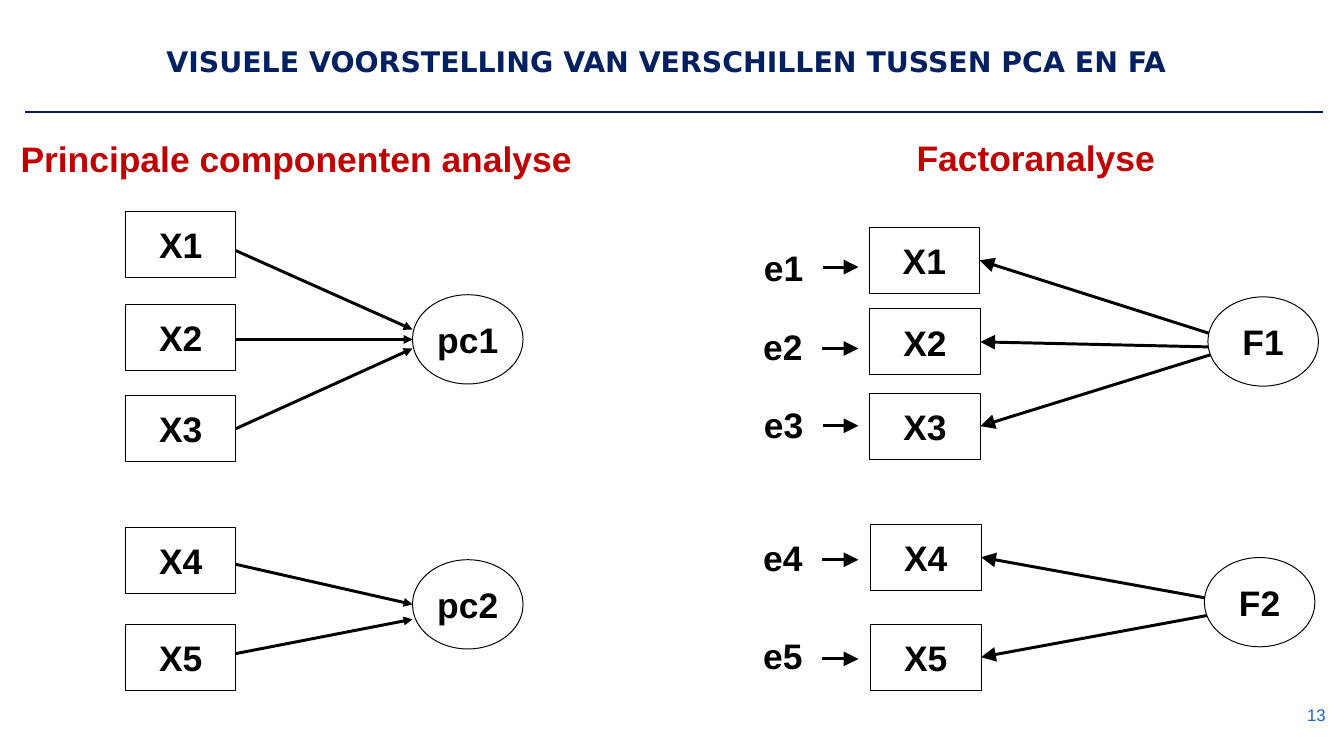
from dataclasses import dataclass
from lxml.etree import SubElement
from pptx import Presentation
from pptx.dml.color import RGBColor
from pptx.enum.shapes import MSO_CONNECTOR as Connector, MSO_SHAPE as Shape
from pptx.enum.text import MSO_ANCHOR as Anchor, PP_ALIGN as Align
from pptx.oxml.ns import qn
from pptx.util import Pt


@dataclass(frozen=True)
class Theme:
    navy: str = "002060"
    red: str = "C00000"
    blue: str = "1E64C8"
    black: str = "000000"
    white: str = "FFFFFF"
    body_font: str = "Arial"
    title_font: str = "DejaVu Sans"
    body_size: float = 36
    number_size: float = 17.1
    outline: float = 1
    rule: float = 2.5
    arrow: float = 3


THEME = Theme()
SLIDE_SIZE = (1365.12, 768.24)
TITLE = "visuele voorstelling van verschillen tussen pca en fa"
TITLE_AREA = (162, 10.1, 1177.2, 74.9)
TITLE_RULE = ((25.9, 113.8), (1344.2, 113.8))
PAGE_NUMBER = "13"
NUMBER_AREA = (1280.9, 705.6, 72.7, 41)
HEADINGS = [
    ("Principale componenten analyse", 0, 127.4),
    ("Factoranalyse", 751, 126),
]
HEADING_SIZE = (601.9, 67)
VARIABLE_SIZE = (112.3, 67)
FACTOR_SIZE = (112.3, 90.7)
ERROR_SIZE = (79.9, 64.1)

PCA_LEFT, PCA_LINK_START = 127.4, 218.9
PCA_VARIABLES = [
    ("X1", 215.3, 245.5, 334.8),
    ("X2", 309.6, 344.9, 344.9),
    ("X3", 401.8, 445, 354.2),
    ("X4", 535.7, 568.8, 614.2),
    ("X5", 634.3, 668.2, 629.3),
]
COMPONENT_LEFT = 419
COMPONENTS = [("pc1", 299.5), ("pc2", 568.8)]

FA_LINK_START = 1240.6
FA_VARIABLES = [
    ("X1", 882.7, 231.1, 342.7),
    ("X2", 883.4, 313.9, 352.8),
    ("X3", 883.4, 399.6, 357.1),
    ("X4", 884.2, 532.8, 610.6),
    ("X5", 884.2, 634.3, 622.8),
]
FACTORS = [("F1", 1226.9, 301.7), ("F2", 1223.3, 566.6)]
ERROR_ARROW = (820.8, 871.9)
ERRORS = [
    ("e1", 756, 239.8, 271.4),
    ("e2", 755.3, 319.7, 354.2),
    ("e3", 756, 399.6, 432.7),
    ("e4", 755.3, 534.2, 568.8),
    ("e5", 755.3, 634.3, 669.6),
]


def color(value):
    return RGBColor.from_string(value)


def write(box, text, size, ink, align, anchor=Anchor.MIDDLE, font=THEME.body_font, bold=True):
    frame = box.text_frame
    frame.text = text
    frame.vertical_anchor = anchor
    para = frame.paragraphs[0]
    para.alignment = align
    span = para.runs[0]
    span.font.size = Pt(size)
    span.font.name = font
    span.font.bold = bold
    span.font.color.rgb = color(ink)
    return para, span


def add_label(slide, kind, text, place, size, ink=THEME.black, outlined=True):
    box = slide.shapes.add_shape(kind, *map(Pt, (*place, *size)))
    box.shadow.inherit = False
    box.fill.solid()
    box.fill.fore_color.rgb = color(THEME.white)
    if outlined:
        box.line.color.rgb = color(THEME.black)
        box.line.width = Pt(THEME.outline)
    else:
        box.line.fill.background()
    write(box, text, THEME.body_size, ink, Align.CENTER)
    box.text_frame.word_wrap = False


def add_line(slide, start, end, ink, width, head=None):
    line = slide.shapes.add_connector(Connector.STRAIGHT, *map(Pt, (*start, *end)))
    line.line.color.rgb = color(ink)
    line.line.width = Pt(width)
    properties = line._element.spPr
    if head:
        SubElement(properties.find(qn("a:ln")), qn("a:tailEnd"), type="triangle", w=head, len=head)
    SubElement(properties, qn("a:effectLst"))


def add_arrow(slide, start, end, head):
    add_line(slide, start, end, THEME.black, THEME.arrow, head)


def add_frame(slide):
    add_line(slide, *TITLE_RULE, THEME.navy, THEME.rule)
    title = slide.shapes.add_textbox(*map(Pt, TITLE_AREA))
    title.text_frame.word_wrap = True
    para, span = write(title, TITLE, THEME.body_size, THEME.navy, Align.LEFT,
                       Anchor.BOTTOM, THEME.title_font)
    para.line_spacing = 0.9
    span.font._element.set("cap", "small")
    number = slide.shapes.add_textbox(*map(Pt, NUMBER_AREA))
    number.text_frame.word_wrap = True
    write(number, PAGE_NUMBER, THEME.number_size, THEME.blue, Align.RIGHT, bold=False)
    for text, left, top in HEADINGS:
        add_label(slide, Shape.RECTANGLE, text, (left, top), HEADING_SIZE, THEME.red, False)


def add_component_analysis(slide):
    for name, top in COMPONENTS:
        add_label(slide, Shape.FLOWCHART_CONNECTOR, name, (COMPONENT_LEFT, top), FACTOR_SIZE)
    for name, top, start_y, end_y in PCA_VARIABLES:
        add_arrow(slide, (PCA_LINK_START, start_y), (COMPONENT_LEFT, end_y), "med")
        add_label(slide, Shape.RECTANGLE, name, (PCA_LEFT, top), VARIABLE_SIZE)


def add_factor_analysis(slide):
    width, height = VARIABLE_SIZE
    for name, left, top, start_y in FA_VARIABLES:
        add_label(slide, Shape.RECTANGLE, name, (left, top), VARIABLE_SIZE)
        add_arrow(slide, (FA_LINK_START, start_y), (left + width, top + height / 2), "lg")
    for name, left, top in FACTORS:
        add_label(slide, Shape.FLOWCHART_CONNECTOR, name, (left, top), FACTOR_SIZE)
    start_x, end_x = ERROR_ARROW
    for name, left, top, y in ERRORS:
        add_arrow(slide, (start_x, y), (end_x, y), "lg")
        add_label(slide, Shape.FLOWCHART_CONNECTOR, name, (left, top), ERROR_SIZE, outlined=False)


def main():
    deck = Presentation()
    deck.slide_width, deck.slide_height = map(Pt, SLIDE_SIZE)
    slide = deck.slides.add_slide(deck.slide_layouts[6])
    add_frame(slide)
    add_component_analysis(slide)
    add_factor_analysis(slide)
    deck.save("out.pptx")


if __name__ == "__main__":
    main()
